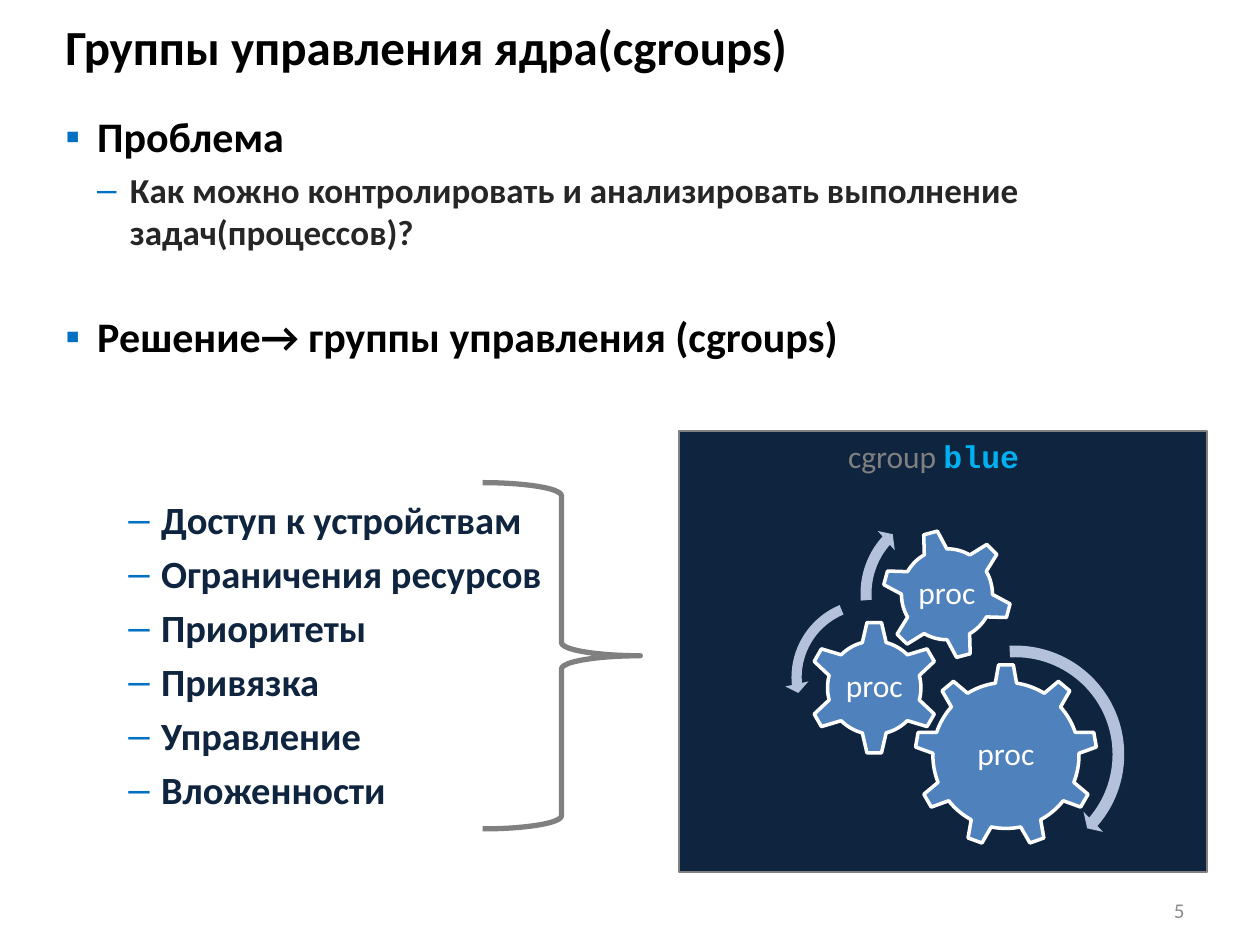
import pptx
import pptx.util
import pptx.dml.color
import pptx.enum.shapes
import pptx.enum.text
import pptx.oxml.ns
import lxml.etree

Cm, Pt = pptx.util.Cm, pptx.util.Pt
SHAPE = pptx.enum.shapes.MSO_SHAPE
ALIGN = pptx.enum.text.PP_ALIGN
ANCHOR = pptx.enum.text.MSO_ANCHOR

THEME = {
    "font": "Calibri", "mono": "Courier New",
    "black": "000000", "body": "262626", "navy": "0F243E", "grey": "808080",
    "number": "8C8C8C", "bullet": "0070C0", "cyan": "00B0F0",
    "gear": "4F81BD", "arrow": "B3C1DB", "white": "FFFFFF",
    "title": 28, "head": 24, "item": 22, "sub": 20, "label": 18, "small": 12,
}

TITLE = "Группы управления ядра(cgroups)"
OUTLINE = [
    ("Проблема", 0, 4.8),
    ("Как можно контролировать и анализировать выполнение задач(процессов)?", 1, 4),
    ("Решение→ группы управления (cgroups)", 0, 33.2),
]
FEATURES = ["Доступ к устройствам", "Ограничения ресурсов", "Приоритеты",
            "Привязка", "Управление", "Вложенности"]
LEVELS = [
    {"char": "▪", "margin": 0.64, "hang": 0.64, "size": "head", "color": "black"},
    {"char": "–", "margin": 1.3, "hang": 0.66, "size": "sub", "color": "body"},
]
GEARS = [
    (SHAPE.GEAR_9, 18.44, 13.39, 3.68, 0, (2.21, 1.9)),
    (SHAPE.GEAR_6, 16.28, 12.52, 2.69, 0, (1.32, 1.32)),
    (SHAPE.GEAR_6, 17.78, 10.67, 2.62, 345, (1.47, 1.47)),
]
ARROWS = [
    (SHAPE.CIRCULAR_ARROW, 18.11, 12.85, 4.72, (0.05, 2.99, 24.5, 160.13, 0.06)),
    (SHAPE.LEFT_CIRCULAR_ARROW, 15.82, 11.94, 3.43, (0.06, 4.3, 104.89, 148.38, 0.07)),
    (SHAPE.CIRCULAR_ARROW, 17.2, 10.11, 3.71, (0.06, 3.94, 133.14, 105.08, 0.07)),
]


def rgb(name):
    return pptx.dml.color.RGBColor.from_string(THEME[name])


def add_run(p, text, size, color, bold=False, font="font"):
    r = p.add_run()
    r.text = text
    r.font.name = THEME[font]
    r.font.size = Pt(THEME[size])
    r.font.bold = bold
    r.font.color.rgb = rgb(color)


def add_text(shapes, x, y, w, h, anchor=ANCHOR.TOP):
    sp = shapes.add_textbox(Cm(x), Cm(y), Cm(w), Cm(h))
    tf = sp.text_frame
    tf.word_wrap = True
    tf.vertical_anchor = anchor
    return tf


def add_shape(shapes, kind, x, y, w, h, fill=None, line=None, width=1):
    sp = shapes.add_shape(kind, Cm(x), Cm(y), Cm(w), Cm(h))
    sp.shadow.inherit = False
    if fill:
        sp.fill.solid()
        sp.fill.fore_color.rgb = rgb(fill)
    else:
        sp.fill.background()
    if line:
        sp.line.color.rgb = rgb(line)
        sp.line.width = Pt(width)
    else:
        sp.line.fill.background()
    return sp


def add_bullet(p, level):
    qn = pptx.oxml.ns.qn
    pPr = p._p.get_or_add_pPr()
    pPr.set("marL", str(Cm(level["margin"])))
    pPr.set("indent", str(-Cm(level["hang"])))
    color = lxml.etree.SubElement(pPr, qn("a:buClr"))
    lxml.etree.SubElement(color, qn("a:srgbClr")).set("val", THEME["bullet"])
    lxml.etree.SubElement(pPr, qn("a:buFont")).set("typeface", "Arial")
    lxml.etree.SubElement(pPr, qn("a:buChar")).set("char", level["char"])


def add_list(tf, rows):
    for i, (text, depth, before, size, color) in enumerate(rows):
        p = tf.add_paragraph() if i else tf.paragraphs[0]
        p.level = depth
        p.space_before = Pt(before)
        add_bullet(p, LEVELS[depth])
        add_run(p, text, size, color, bold=True)


def add_gear(shapes, kind, x, y, d, turn, label):
    sp = add_shape(shapes, kind, x, y, d, d, "gear", "white", 2)
    sp.rotation = turn
    w, h = label
    tf = add_text(shapes, x + (d - w) / 2, y + (d - h) / 2, w, h, ANCHOR.MIDDLE)
    tf.word_wrap = False
    tf.margin_left = tf.margin_right = tf.margin_top = tf.margin_bottom = Cm(0.08)
    p = tf.paragraphs[0]
    p.alignment = ALIGN.CENTER
    p.line_spacing = 0.9
    add_run(p, "proc", "label", "white")


def main():
    prs = pptx.Presentation()
    prs.slide_width, prs.slide_height = Cm(25.4), Cm(19.05)
    s = prs.slides.add_slide(prs.slide_layouts[6])

    tf = add_text(s.shapes, 1.07, 0.2, 21.39, 1.47, ANCHOR.MIDDLE)
    add_run(tf.paragraphs[0], TITLE, "title", "black", bold=True)

    tf = add_text(s.shapes, 1.07, 2.11, 23.06, 6.55)
    add_list(tf, [(text, depth, before, LEVELS[depth]["size"], LEVELS[depth]["color"])
                  for text, depth, before in OUTLINE])

    tf = add_text(s.shapes, 18.21, 17.83, 5.92, 1.02, ANCHOR.MIDDLE)
    tf.paragraphs[0].alignment = ALIGN.RIGHT
    add_run(tf.paragraphs[0], "5", "small", "number")

    panel = add_shape(s.shapes, SHAPE.RECTANGLE, 13.69, 8.69, 10.64, 8.89, "navy", "grey")
    panel.text_frame.vertical_anchor = ANCHOR.TOP
    p = panel.text_frame.paragraphs[0]
    p.alignment = ALIGN.CENTER
    add_run(p, "cgroup ", "label", "grey")
    add_run(p, "blue ", "label", "cyan", bold=True, font="mono")

    group = s.shapes.add_group_shape()
    for gear in GEARS:
        add_gear(group.shapes, *gear)
    for kind, x, y, d, adjustments in ARROWS:
        sp = add_shape(group.shapes, kind, x, y, d, d, "arrow")
        for i, value in enumerate(adjustments):
            sp.adjustments[i] = value

    tf = add_text(s.shapes, 1.7, 9.88, 9.53, 7.06)
    add_list(tf, [(text, 1, 4.4, "item", "navy") for text in FEATURES])
    add_shape(s.shapes, SHAPE.RIGHT_BRACE, 9.73, 9.73, 3.18, 6.98, None, "grey", 3)

    prs.save("out.pptx")


if __name__ == "__main__":
    main()
